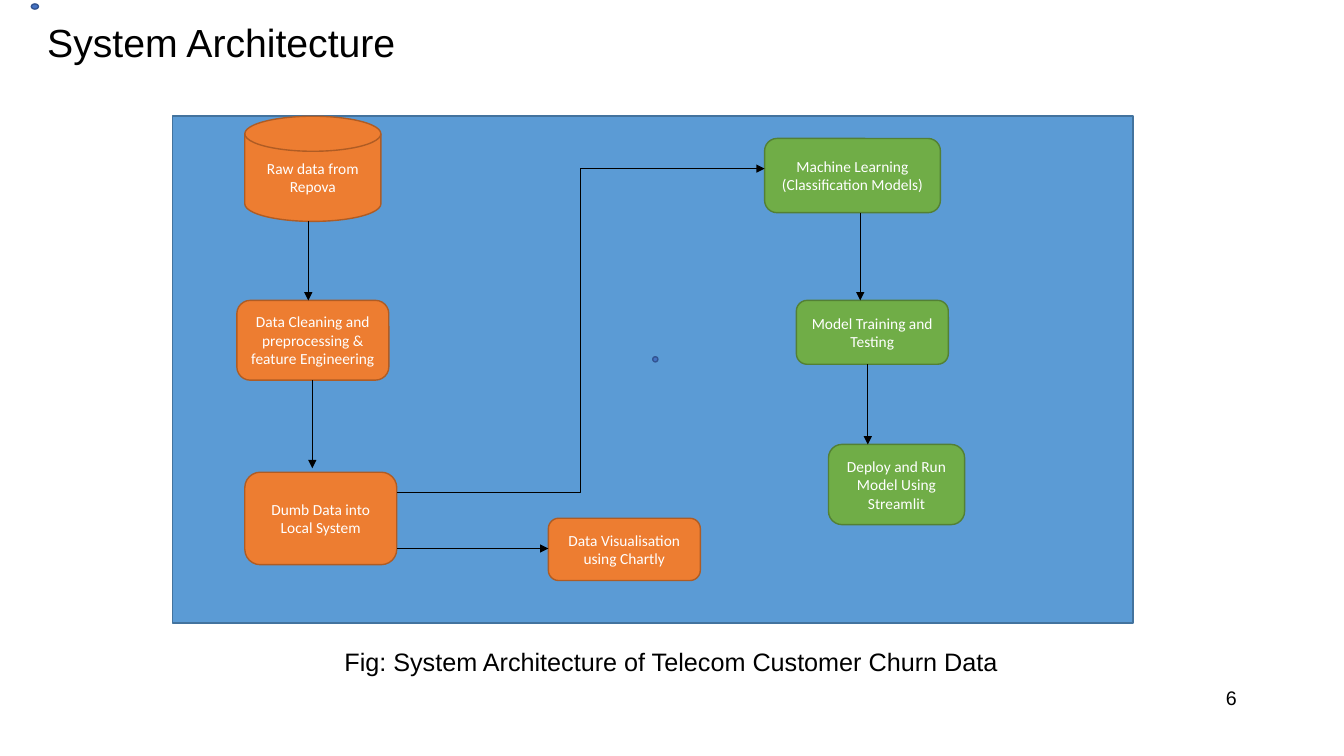
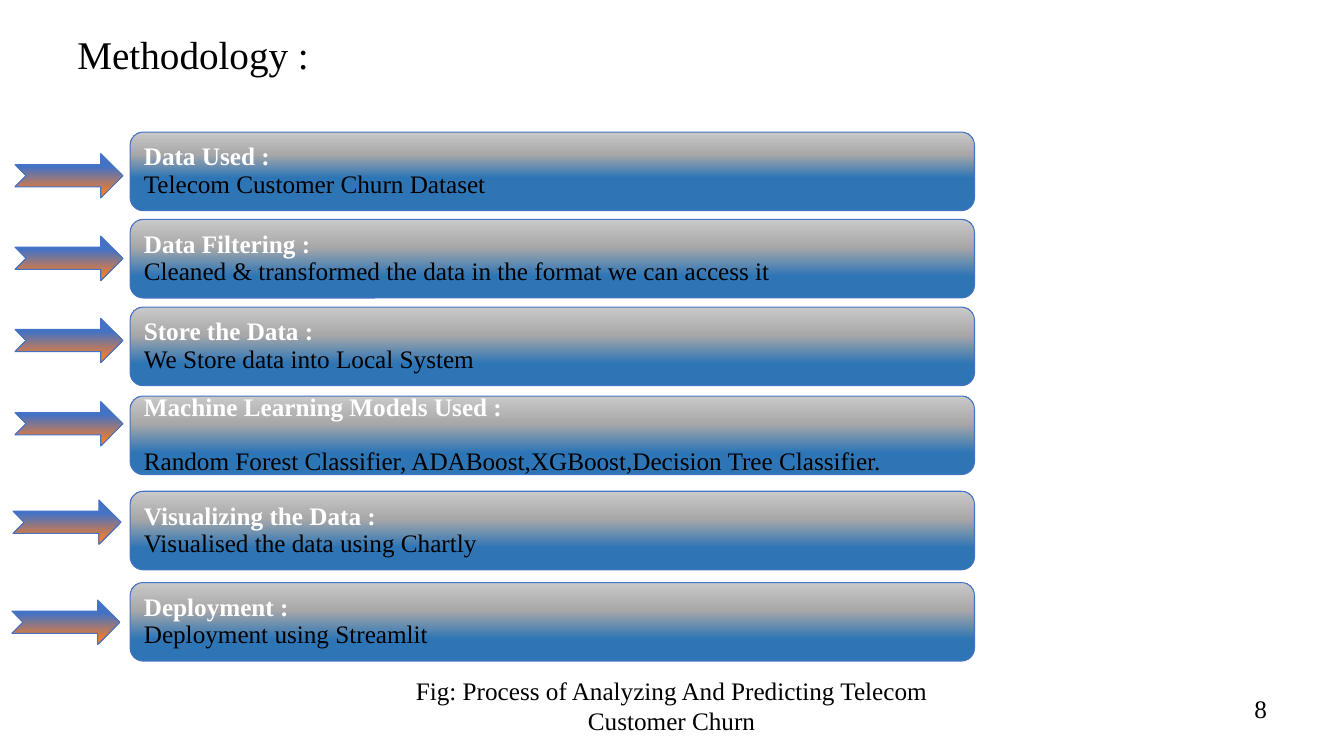
from copy import deepcopy
from dataclasses import dataclass

from lxml import etree
from pptx import Presentation
from pptx import util as u
from pptx.dml.color import RGBColor
from pptx.enum import shapes, text
from pptx.oxml import ns

KIND = shapes.MSO_SHAPE
LINK = shapes.MSO_CONNECTOR
ALIGN = text.PP_ALIGN
MID = text.MSO_ANCHOR.MIDDLE
TOP = text.MSO_ANCHOR.TOP


@dataclass(frozen=True)
class Theme:
    """Colours, fonts and type sizes."""
    black: str = "000000"
    white: str = "FFFFFF"
    panel: tuple = ("5B9BD5", "43739E")
    data: tuple = ("ED7D31", "AF5C24")
    model: tuple = ("70AD47", "538035")
    dot: tuple = ("4472C4", "325491")
    edge: str = "4472C4"
    tones: tuple = ("2E75B6", "A8A8A8", "C9C9C9")
    arrow: tuple = ((30, "4472C4"), (87, "ED7D31"))
    sans: str = "Arial"
    serif: str = "Times New Roman"
    label: str = "Calibri"
    head: int = 28
    body: int = 18
    page: int = 14
    small: int = 11


T = Theme()


def rgb(code):
    """Turn a hex code into a colour."""
    return RGBColor.from_string(code)


def box(at):
    """Turn left, top, width and height into lengths."""
    return [u.Cm(n) for n in at]


def write(frame, words, *, font, size, color=T.black, bold=False,
          align=ALIGN.LEFT, anchor=MID, more=False, lead=None, gap=0):
    """Write one paragraph into a text frame."""
    frame.word_wrap = True
    frame.vertical_anchor = anchor
    par = frame.add_paragraph() if more else frame.paragraphs[0]
    par.alignment = align
    par.line_spacing = lead
    par.space_before = u.Pt(gap)
    run = par.add_run()
    run.text = words
    run.font.name, run.font.size, run.font.bold = font, u.Pt(size), bold
    run.font.color.rgb = rgb(color)


def label(slide, at, words, **form):
    """Add a text box."""
    write(slide.shapes.add_textbox(*box(at)).text_frame, words, **form)


def shape(slide, kind, at, line, width, fill=None):
    """Add a preset shape with an outline and a plain fill."""
    item = slide.shapes.add_shape(kind, *box(at))
    item.shadow.inherit = False
    item.line.color.rgb = rgb(line)
    item.line.width = u.Pt(width)
    if fill:
        item.fill.solid()
        item.fill.fore_color.rgb = rgb(fill)
    return item


def blend(item, stops, angle):
    """Fill a shape with a linear gradient."""
    item.fill.gradient()
    item.fill.gradient_angle = angle
    marks = item._element.spPr.find(".//" + ns.qn("a:gsLst"))
    for _ in stops[2:]:
        marks.append(deepcopy(marks[0]))
    for stop, (place, color) in zip(item.fill.gradient_stops, stops):
        stop.position = place / 100
        stop.color.rgb = rgb(color)


def solid(slide, kind, at, pair):
    """Add a shape in a fill and outline pair."""
    return shape(slide, kind, at, pair[1], 1, pair[0])


def node(slide, at, words, pair, kind=KIND.ROUNDED_RECTANGLE):
    """Add a labelled step of the diagram."""
    item = solid(slide, kind, at, pair)
    write(item.text_frame, words, font=T.label, size=T.small,
          color=T.white, align=ALIGN.CENTER)


def link(slide, ends, kind=LINK.STRAIGHT):
    """Add a thin connector with an arrowhead."""
    line = slide.shapes.add_connector(kind, *box(ends))
    line.line.color.rgb = rgb(T.black)
    line.line.width = u.Pt(0.5)
    props = line._element.spPr
    etree.SubElement(props.find(ns.qn("a:ln")), ns.qn("a:tailEnd"),
                     type="triangle")
    etree.SubElement(props, ns.qn("a:effectLst"))


def card(slide, at, title, words, cuts, gap):
    """Add a gradient card with a heading and a line of text."""
    item = shape(slide, KIND.ROUNDED_RECTANGLE, at, T.edge, 0.75)
    blend(item, list(zip(cuts, T.tones)), 90)
    form = dict(font=T.serif, size=T.body, lead=0.9)
    write(item.text_frame, title, color=T.white, bold=True, **form)
    write(item.text_frame, words, more=True, gap=gap, **form)


def start(deck, title, note, page, font, size, spots):
    """Add a slide with its title, caption and page number."""
    slide = deck.slides.add_slide(deck.slide_layouts[6])
    head, foot, num = spots
    label(slide, (*head, 30.48, 1.63), title, font=font, size=T.head)
    label(slide, (*num, 7.9, 1.32), page, font=font, size=size,
          align=ALIGN.RIGHT, anchor=TOP)
    label(slide, foot, note, font=font, size=T.body,
          align=ALIGN.CENTER, anchor=TOP)
    return slide


def system(deck):
    """Build the architecture slide."""
    slide = start(deck, "System Architecture",
                  "Fig: System Architecture of Telecom Customer Churn Data",
                  "6", T.sans, T.page,
                  ((0.94, 0.23), (8.23, 16.15, 17.37, 1.78), (23.52, 17.17)))
    solid(slide, KIND.OVAL, (0.79, 0.1, 0.18, 0.13), T.dot)
    solid(slide, KIND.RECTANGLE, (4.35, 2.92, 24.2, 12.78), T.panel)
    solid(slide, KIND.OVAL, (16.45, 8.99, 0.13, 0.13), T.dot)
    node(slide, (6.17, 2.93, 3.43, 2.65), "Raw data from Repova", T.data,
         KIND.FLOWCHART_MAGNETIC_DISK)
    for pair, at, words in (
        (T.data, (5.97, 7.57, 3.83, 2.01),
         "Data Cleaning and preprocessing & feature Engineering"),
        (T.data, (6.17, 11.9, 3.83, 2.33), "Dumb Data into Local System"),
        (T.data, (13.82, 13.06, 3.83, 1.57),
         "Data Visualisation using Chartly"),
        (T.model, (19.27, 3.49, 4.43, 1.87),
         "Machine Learning (Classification Models)"),
        (T.model, (20.07, 7.57, 3.83, 1.61), "Model Training and Testing"),
        (T.model, (20.88, 11.2, 3.43, 2.02),
         "Deploy and Run Model Using Streamlit"),
    ):
        node(slide, at, words, pair)
    for x, top, end in ((7.77, 5.58, 7.57), (7.87, 9.58, 11.8),
                        (21.68, 5.36, 7.57), (21.87, 9.18, 11.2)):
        link(slide, (x, top, x, end))
    link(slide, (10, 13.82, 13.82, 13.82))
    link(slide, (10, 12.42, 19.27, 4.25), LINK.ELBOW)


def method(deck):
    """Build the methodology slide."""
    slide = start(deck, "Methodology :",
                  "Fig: Process of Analyzing And Predicting Telecom "
                  "Customer Churn", "8", T.serif, T.body,
                  ((1.7, 0.53), (9.8, 16.89, 14.25, 1.78), (24.28, 17.35)))
    first, rest = (42, 72, 100), (28, 65, 100)
    for top, x, y, cuts, gap, title, words in (
        (3.33, 0.38, 3.87, first, 0, "Data Used :",
         "Telecom Customer Churn Dataset"),
        (5.53, 0.38, 5.95, rest, 0, "Data Filtering :",
         "Cleaned & transformed the data in the format we can access it"),
        (7.74, 0.38, 8.02, rest, 0, "Store the Data :",
         "We Store data into Local System"),
        (9.98, 0.38, 10.12, rest, 19, "Machine Learning Models Used :",
         "Random Forest Classifier, ADABoost,XGBoost,Decision Tree "
         "Classifier."),
        (12.38, 0.33, 12.6, rest, 0, "Visualizing the Data :",
         "Visualised the data using Chartly"),
        (14.68, 0.3, 15.12, rest, 0, "Deployment :",
         "Deployment using Streamlit"),
    ):
        card(slide, (3.28, top, 21.28, 1.98), title, words, cuts, gap)
        item = shape(slide, KIND.NOTCHED_RIGHT_ARROW, (x, y, 2.72, 1.12),
                     T.edge, 0.75)
        blend(item, T.arrow, 270)


def main():
    """Build and save the deck."""
    deck = Presentation()
    deck.slide_width, deck.slide_height = u.Cm(33.87), u.Cm(19.05)
    system(deck)
    method(deck)
    deck.save("out.pptx")


if __name__ == "__main__":
    main()
